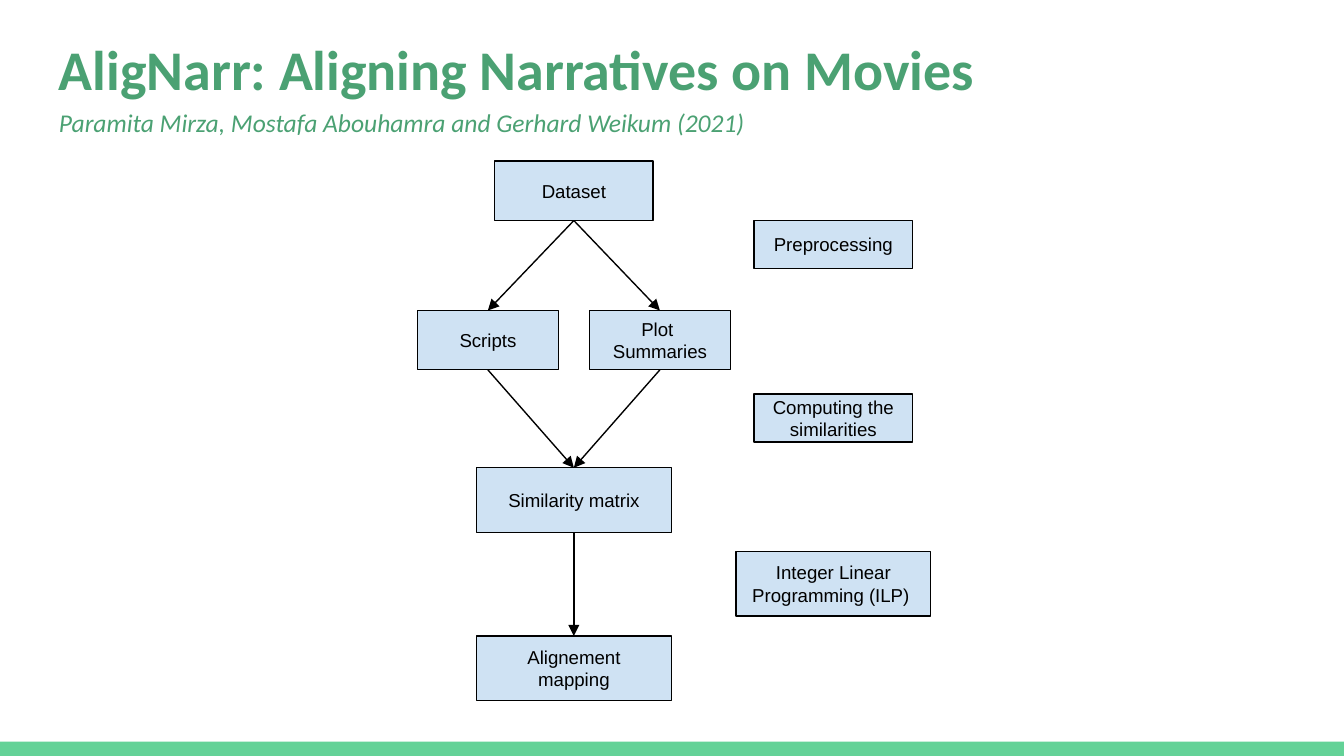
from dataclasses import dataclass

from lxml import etree
from pptx import Presentation
from pptx import util as u
from pptx.dml.color import RGBColor
from pptx.enum import shapes, text
from pptx.oxml.ns import qn


@dataclass(frozen=True)
class Theme:
    heading: RGBColor = RGBColor.from_string("4BA173")
    footer: RGBColor = RGBColor.from_string("63D297")
    box: RGBColor = RGBColor.from_string("CFE2F3")
    ink: RGBColor = RGBColor.from_string("000000")
    heading_font: str = "Calibri"
    box_font: str = "Arial"
    title_size: float = 30
    authors_size: float = 13.7
    box_size: float = 10
    stroke: float = 0.75


theme = Theme()
deck = Presentation()
deck.slide_width, deck.slide_height = u.Inches(10), u.Inches(5.625)
slide = deck.slides.add_slide(deck.slide_layouts[6])

# Grid of 100 columns and 100 rows
COL, ROW = deck.slide_width / 100, deck.slide_height / 100


def area(left, top, width, height):
    return [u.Emu(round(n * unit)) for n, unit in
            zip((left, top, width, height), (COL, ROW, COL, ROW))]


def add_rect(left, top, width, height, color):
    rect = slide.shapes.add_shape(shapes.MSO_SHAPE.RECTANGLE, *area(left, top, width, height))
    rect.shadow.inherit = False
    rect.fill.solid()
    rect.fill.fore_color.rgb = color
    return rect


# Footer band
footer = add_rect(0, 98.1, 100, 1.9, theme.footer)
footer.line.fill.background()

# Title and authors
heading = slide.shapes.add_textbox(*area(3.4, 2.85, 93.2, 15.65)).text_frame
heading.word_wrap = True
heading.margin_left = heading.margin_right = u.Inches(0.1)
heading.margin_top = heading.margin_bottom = u.Inches(0.1)
heading.text = ("AligNarr: Aligning Narratives on Movies\n"
                "Paramita Mirza, Mostafa Abouhamra and Gerhard Weikum (2021)")
title, authors = heading.paragraphs
for line in (title, authors):
    line.font.name = theme.heading_font
    line.font.color.rgb = theme.heading
title.font.size, title.font.bold = u.Pt(theme.title_size), True
authors.font.size, authors.font.italic = u.Pt(theme.authors_size), True
authors.line_spacing = 1.15

# Boxes: centre column, centre row, (columns, rows), label
SPINE, BRANCH, STEPS = 42.7, 6.4, 62
SOURCE, DATA, STEP, RESULT = (11.8, 7.85), (10.5, 7.85), (11.8, 6.4), (14.5, 8.55)
boxes = {
    "dataset": (SPINE, 25.25, SOURCE, "Dataset"),
    "scripts": (SPINE - BRANCH, 45, DATA, "Scripts"),
    "summaries": (SPINE + BRANCH, 45, DATA, "Plot \nSummaries"),
    "matrix": (SPINE, 66.15, RESULT, "Similarity matrix"),
    "mapping": (SPINE, 88.4, RESULT, "Alignement mapping"),
    "preprocessing": (STEPS, 32.35, STEP, "Preprocessing"),
    "computing": (STEPS, 55.3, STEP, "Computing the similarities"),
    "programming": (STEPS, 77.2, RESULT, "Integer Linear Programming (ILP) "),
}
nodes = {}
for key, (x, y, (width, height), label) in boxes.items():
    node = nodes[key] = add_rect(x - width / 2, y - height / 2, width, height, theme.box)
    node.line.color.rgb = theme.ink
    node.line.width = u.Pt(theme.stroke)
    frame = node.text_frame
    frame.word_wrap = True
    frame.vertical_anchor = text.MSO_ANCHOR.MIDDLE
    frame.margin_left = frame.margin_right = u.Inches(0.1)
    frame.margin_top = frame.margin_bottom = u.Inches(0.1)
    frame.text = label
    for line in frame.paragraphs:
        line.alignment = text.PP_ALIGN.CENTER
        line.font.name, line.font.size = theme.box_font, u.Pt(theme.box_size)
        line.font.color.rgb = theme.ink

# Arrows from the bottom of one box to the top of the next
BOTTOM, TOP = 2, 0
flow = [("dataset", "scripts"), ("dataset", "summaries"), ("scripts", "matrix"),
        ("summaries", "matrix"), ("matrix", "mapping")]
for start, end in flow:
    arrow = slide.shapes.add_connector(shapes.MSO_CONNECTOR.STRAIGHT, 0, 0, 0, 0)
    arrow.begin_connect(nodes[start], BOTTOM)
    arrow.end_connect(nodes[end], TOP)
    arrow.line.color.rgb = theme.ink
    arrow.line.width = u.Pt(theme.stroke)
    etree.SubElement(arrow.line._get_or_add_ln(), qn("a:tailEnd"), type="triangle")
    etree.SubElement(arrow._element.spPr, qn("a:effectLst"))

deck.save("out.pptx")
